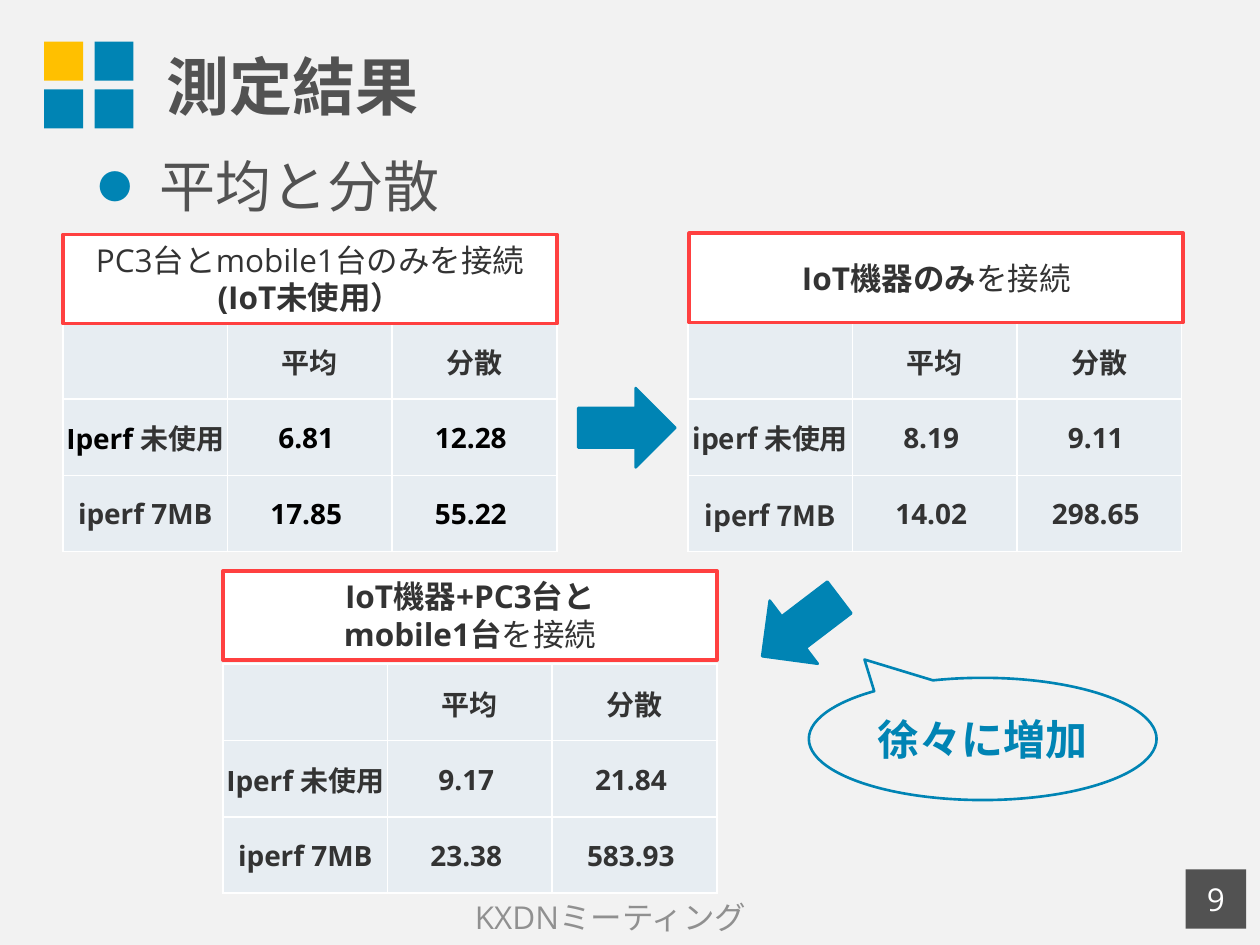
from dataclasses import dataclass

import lxml.etree
import pptx
import pptx.dml.color
import pptx.enum.shapes
import pptx.enum.text
import pptx.oxml.ns
import pptx.util

Inches = pptx.util.Inches
Shape = pptx.enum.shapes.MSO_SHAPE
Anchor = pptx.enum.text.MSO_ANCHOR
Align = pptx.enum.text.PP_ALIGN
qn = pptx.oxml.ns.qn


@dataclass(frozen=True)
class Theme:
    page: str = "F2F2F2"
    blue: str = "0084B4"
    yellow: str = "FFC000"
    gray: str = "525252"
    footer: str = "909090"
    ink: str = "333333"
    black: str = "000000"
    white: str = "FFFFFF"
    red: str = "FF4040"
    cell: str = "E7EDF2"
    latin: str = "Open Sans"
    japanese: str = "Noto Sans CJK JP"
    title_size: int = 36
    body_size: int = 32
    callout_size: int = 24
    label_size: int = 18
    cell_size: int = 16


THEME = Theme()


@dataclass(frozen=True)
class Span:
    text: str
    size: int = THEME.label_size
    color: str = THEME.ink
    bold: bool = False
    font: str = THEME.latin


@dataclass(frozen=True)
class Box:
    left: float
    top: float
    width: float
    height: float

    def lengths(self) -> tuple:
        return tuple(Inches(n) for n in (self.left, self.top, self.width, self.height))


@dataclass(frozen=True)
class Measurement:
    label: Box
    label_spans: tuple
    label_anchor: Anchor
    left: float
    top: float
    rows: tuple


def cell_span(text: str, color: str = THEME.ink, font: str = THEME.latin) -> Span:
    return Span(text, THEME.cell_size, color, True, font)


def rgb(color: str) -> pptx.dml.color.RGBColor:
    return pptx.dml.color.RGBColor.from_string(color)


def write(frame, spans: tuple, align=Align.CENTER, anchor=Anchor.MIDDLE):
    frame.word_wrap = True
    frame.vertical_anchor = anchor
    para = frame.paragraphs[0]
    para.alignment = align
    for span in spans:
        for number, line in enumerate(span.text.split("\n")):
            if number:
                para.add_line_break()
            run = para.add_run()
            run.text = line
            run.font.size = pptx.util.Pt(span.size)
            run.font.bold = span.bold
            run.font.name = span.font
            run.font.color.rgb = rgb(span.color)
            east_asian = lxml.etree.SubElement(run.font._element, qn("a:ea"))
            east_asian.set("typeface", THEME.japanese)
    return para


def add_text(slide, box: Box, span: Span, align=Align.CENTER, anchor=Anchor.MIDDLE):
    return write(slide.shapes.add_textbox(*box.lengths()).text_frame, (span,), align, anchor)


def add_shape(slide, kind, box: Box, fill: str, line: str = "", width: float = 1.5):
    shape = slide.shapes.add_shape(kind, *box.lengths())
    shape.shadow.inherit = False
    shape.fill.solid()
    shape.fill.fore_color.rgb = rgb(fill)
    if line:
        shape.line.color.rgb = rgb(line)
        shape.line.width = pptx.util.Pt(width)
    else:
        shape.line.fill.background()
    return shape


def add_bullet(para) -> None:
    props = para._p.get_or_add_pPr()
    props.set("marL", str(Inches(0.49)))
    props.set("indent", str(-Inches(0.49)))
    color = lxml.etree.SubElement(props, qn("a:buClr"))
    lxml.etree.SubElement(color, qn("a:srgbClr")).set("val", THEME.blue)
    lxml.etree.SubElement(props, qn("a:buSzPct")).set("val", "60000")
    lxml.etree.SubElement(props, qn("a:buFont")).set("typeface", THEME.japanese)
    lxml.etree.SubElement(props, qn("a:buChar")).set("char", "●")


def style_cell(cell) -> None:
    cell.margin_left = cell.margin_right = cell.margin_top = Inches(0.01)
    cell.margin_bottom = 0
    props = cell._tc.get_or_add_tcPr()
    for side in ("a:lnL", "a:lnR", "a:lnT", "a:lnB"):
        border = lxml.etree.SubElement(props, qn(side))
        border.set("w", str(pptx.util.Pt(1)))
        fill = lxml.etree.SubElement(border, qn("a:solidFill"))
        lxml.etree.SubElement(fill, qn("a:srgbClr")).set("val", THEME.white)
    cell.fill.solid()
    cell.fill.fore_color.rgb = rgb(THEME.cell)


def add_measurement(slide, item: Measurement) -> None:
    heading = tuple((cell_span(name, font=THEME.japanese),) for name in ("平均", "分散"))
    rows = (((), *heading), *item.rows)
    place = Box(item.left, item.top, 3.92, 1.82)
    table = slide.shapes.add_table(len(rows), len(rows[0]), *place.lengths()).table
    table.first_row = False
    table.horz_banding = False
    for row_index, row in enumerate(rows):
        for column_index, spans in enumerate(row):
            cell = table.cell(row_index, column_index)
            style_cell(cell)
            write(cell.text_frame, spans)
            cell.vertical_anchor = Anchor.MIDDLE
    label = add_shape(slide, Shape.RECTANGLE, item.label, THEME.white, THEME.red, 2)
    write(label.text_frame, item.label_spans, anchor=item.label_anchor)


def row(name: tuple, average: str, variance: str, color: str = THEME.ink) -> tuple:
    return (name, (cell_span(average, color),), (cell_span(variance, color),))


MEASUREMENTS = (
    Measurement(
        Box(0.5, 1.86, 3.92, 0.71),
        (Span("PC3台とmobile1台のみを接続 "), Span("(IoT未使用）", bold=True)),
        Anchor.TOP, 0.5, 2.56,
        (row((cell_span("Iperf ", THEME.black), cell_span("未使用")),
             "6.81 ", "12.28 ", THEME.black),
         row((cell_span("iperf 7MB"),), "17.85 ", "55.22 ", THEME.black)),
    ),
    Measurement(
        Box(5.47, 1.85, 3.92, 0.71),
        (Span("IoT機器のみ", bold=True), Span("を接続")),
        Anchor.MIDDLE, 5.46, 2.56,
        (row((cell_span("iperf ", font=THEME.japanese), cell_span("未使用")), "8.19 ", "9.11 "),
         row((cell_span("iperf 7MB", font=THEME.japanese),), "14.02 ", "298.65 ")),
    ),
    Measurement(
        Box(1.77, 4.53, 3.92, 0.71),
        (Span("IoT機器+PC3台と\nmobile1台", bold=True), Span("を接続")),
        Anchor.TOP, 1.77, 5.27,
        (row((cell_span("Iperf 未使用"),), "9.17 ", "21.84 "),
         row((cell_span("iperf 7MB"),), "23.38 ", "583.93 ")),
    ),
)


def main() -> None:
    deck = pptx.Presentation()
    deck.slide_width, deck.slide_height = Inches(10), Inches(7.5)
    slide = deck.slides.add_slide(deck.slide_layouts[6])
    slide.background.fill.solid()
    slide.background.fill.fore_color.rgb = rgb(THEME.page)

    for index, color in enumerate((THEME.yellow, THEME.blue, THEME.blue, THEME.blue)):
        line, column = divmod(index, 2)
        tile = Box(0.35 + 0.4 * column, 0.33 + 0.38 * line, 0.31, 0.31)
        add_shape(slide, Shape.RECTANGLE, tile, color)

    add_text(slide, Box(1.22, 0.05, 8.78, 1.25),
             Span("測定結果", THEME.title_size, THEME.gray, True), Align.LEFT)
    add_bullet(add_text(slide, Box(0.68, 1.15, 9.15, 0.7),
                        Span("平均と分散", THEME.body_size, THEME.gray), Align.LEFT, Anchor.TOP))
    add_text(slide, Box(0.35, 7.08, 8.99, 0.4), Span("KXDNミーティング", color=THEME.footer))
    number = add_shape(slide, Shape.RECTANGLE, Box(9.41, 6.9, 0.48, 0.47), THEME.gray)
    write(number.text_frame, (Span("9", color=THEME.white),))

    for item in MEASUREMENTS:
        add_measurement(slide, item)

    for left, top, angle in ((4.59, 3.08, 0), (5.97, 4.66, 142.7)):
        arrow = add_shape(slide, Shape.RIGHT_ARROW, Box(left, top, 0.77, 0.63),
                          THEME.blue, THEME.blue)
        arrow.rotation = angle

    callout = add_shape(slide, Shape.OVAL_CALLOUT, Box(6.42, 5.38, 2.76, 0.97),
                        THEME.page, THEME.blue)
    callout.adjustments[0], callout.adjustments[1] = -0.34, -0.65
    write(callout.text_frame, (Span("徐々に増加", THEME.callout_size, THEME.blue, True),))
    deck.save("out.pptx")


if __name__ == "__main__":
    main()
